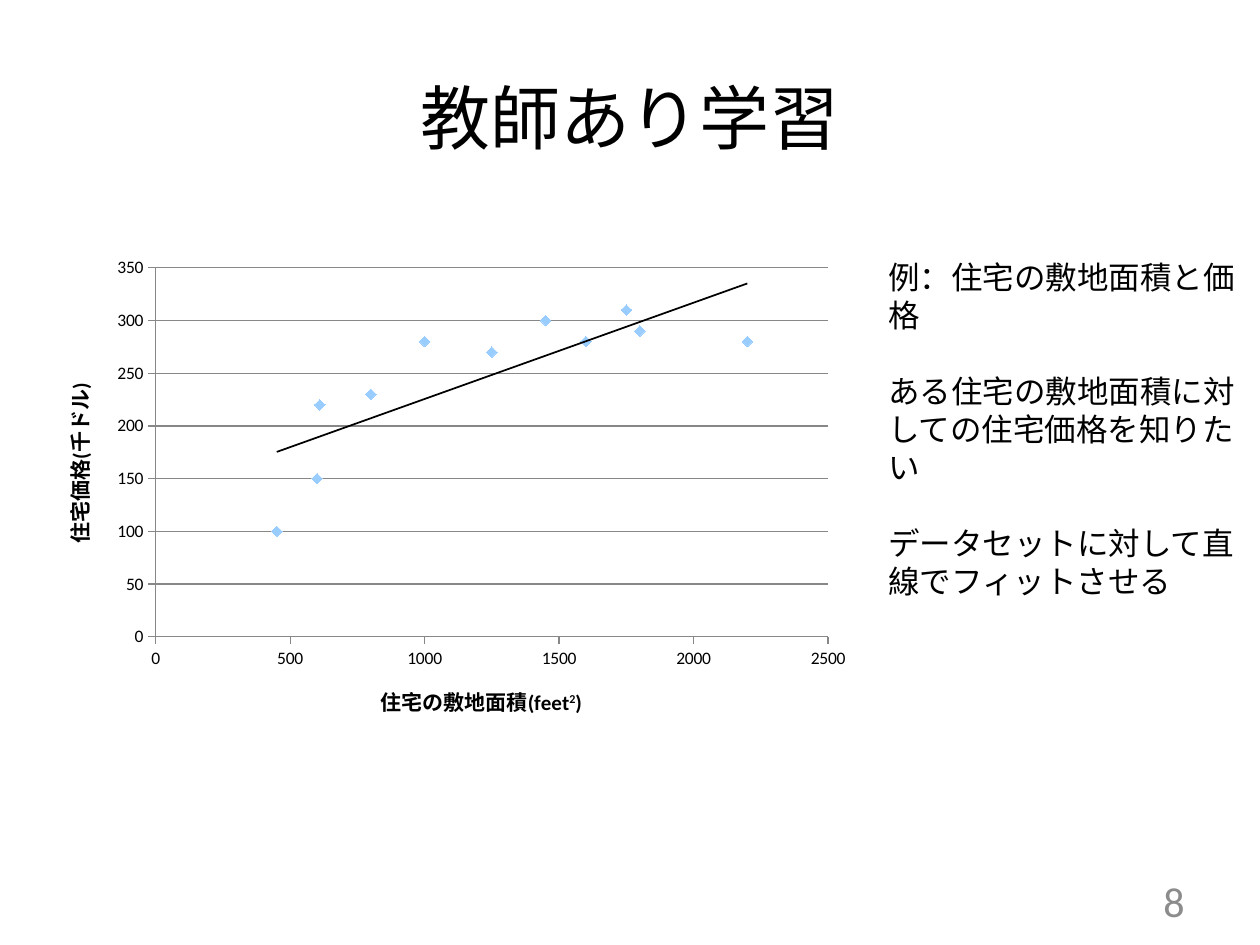
from lxml.etree import SubElement
from pptx import Presentation
from pptx.chart.data import XyChartData
from pptx.dml.color import RGBColor
from pptx.enum.chart import XL_CHART_TYPE as ChartType, XL_MARKER_STYLE as Marker, XL_TICK_MARK as Tick
from pptx.enum.text import MSO_ANCHOR as Anchor, PP_ALIGN as Align
from pptx.oxml import parse_xml
from pptx.oxml.ns import nsdecls, qn
from pptx.util import Pt

TITLE = "教師あり学習"
NOTES = [
    "例：住宅の敷地面積と価格",
    "ある住宅の敷地面積に対しての住宅価格を知りたい",
    "データセットに対して直線でフィットさせる",
]
PAGE_NUMBER = "8"
HOUSES = [
    (450, 100), (600, 150), (610, 220), (800, 230), (1000, 280), (1250, 270),
    (1450, 300), (1600, 280), (1750, 310), (1800, 290), (2200, 280),
]
AREA_TITLE = [("住宅の敷地面積(feet", False), ("2", True), (")", False)]
PRICE_TITLE = [("住宅価格(千ドル)", False)]

FONT = "Calibri"
BLACK, GRAY, AXIS, POINT = "000000", "8C8C8C", "878787", "99CCFF"
CHART_BOX = (35, 248, 827, 496)
PLOT_BOX = (156, 268, 672, 369)


def px(length):
    return round(length * 914400 / 126)


def color(value):
    return RGBColor.from_string(value)


def style(font, size, fill=BLACK, bold=False):
    font.name, font.size, font.bold = FONT, Pt(size), bold
    font.color.rgb = color(fill)


def add_text(page, paras, at, size, fill=BLACK, align=Align.LEFT, anchor=Anchor.TOP, gap=0):
    box = page.shapes.add_textbox(*map(px, at))
    frame = box.text_frame
    frame.word_wrap = True
    frame.vertical_anchor = anchor
    for index, text in enumerate(paras):
        para = frame.add_paragraph() if index else frame.paragraphs[0]
        para.alignment = align
        if index:
            para.space_before = Pt(gap)
        span = para.add_run()
        span.text = text
        style(span.font, size, fill)


def format_axis(axis, title, top, step):
    axis.minimum_scale, axis.maximum_scale, axis.major_unit = 0, top, step
    axis.major_tick_mark, axis.minor_tick_mark = Tick.OUTSIDE, Tick.NONE
    axis.format.line.color.rgb = color(AXIS)
    style(axis.tick_labels.font, 10)
    para = axis.axis_title.text_frame.paragraphs[0]
    for text, raised in title:
        span = para.add_run()
        span.text = text
        style(span.font, 12, bold=True)
        if raised:
            span._r.get_or_add_rPr().set("baseline", "30000")


def place_plot(chart):
    area = chart._chartSpace.chart.plotArea
    for old in area.findall(qn("c:layout")):
        area.remove(old)
    layout = parse_xml(f"<c:layout {nsdecls('c')}><c:manualLayout/></c:layout>")
    left, top, width, height = PLOT_BOX
    frame_left, frame_top, frame_width, frame_height = CHART_BOX
    settings = {
        "layoutTarget": "inner", "xMode": "edge", "yMode": "edge",
        "x": round((left - frame_left) / frame_width, 3),
        "y": round((top - frame_top) / frame_height, 3),
        "w": round(width / frame_width, 3),
        "h": round(height / frame_height, 3),
    }
    for name, value in settings.items():
        SubElement(layout[0], qn(f"c:{name}")).set("val", str(value))
    area.insert(0, layout)


def add_trend(series):
    trend = parse_xml(
        f'<c:trendline {nsdecls("c", "a")}><c:spPr><a:ln w="12700"><a:solidFill>'
        f'<a:srgbClr val="{BLACK}"/></a:solidFill></a:ln></c:spPr>'
        '<c:trendlineType val="linear"/><c:dispRSqr val="0"/><c:dispEq val="0"/></c:trendline>'
    )
    series._element.find(qn("c:xVal")).addprevious(trend)


def add_scatter(page):
    data = XyChartData()
    houses = data.add_series("Series 1")
    for area, price in HOUSES:
        houses.add_data_point(area, price)
    chart = page.shapes.add_chart(ChartType.XY_SCATTER, *map(px, CHART_BOX), data).chart
    chart.has_legend = chart.has_title = False
    style(chart.font, 10)
    chart.plots[0].vary_by_categories = False
    format_axis(chart.category_axis, AREA_TITLE, 2500, 500)
    format_axis(chart.value_axis, PRICE_TITLE, 350, 50)
    chart.category_axis.has_major_gridlines = False
    chart.value_axis.has_major_gridlines = True
    chart.value_axis.major_gridlines.format.line.color.rgb = color(AXIS)
    series = chart.plots[0].series[0]
    series.smooth = False
    series.format.line.fill.background()
    series.marker.style, series.marker.size = Marker.DIAMOND, 6
    series.marker.format.fill.solid()
    series.marker.format.fill.fore_color.rgb = color(POINT)
    series.marker.format.line.fill.background()
    add_trend(series)
    place_plot(chart)


def main():
    deck = Presentation()
    deck.slide_width, deck.slide_height = px(1260), px(945)
    page = deck.slides.add_slide(deck.slide_layouts[6])
    add_text(page, [TITLE], (63, 38, 1134, 157), 40, align=Align.CENTER, anchor=Anchor.MIDDLE)
    add_text(page, NOTES, (876, 252, 382, 318), 18, gap=22)
    add_scatter(page)
    add_text(page, [PAGE_NUMBER], (903, 876, 294, 50), 24, GRAY, Align.RIGHT, Anchor.MIDDLE)
    deck.save("out.pptx")


if __name__ == "__main__":
    main()
